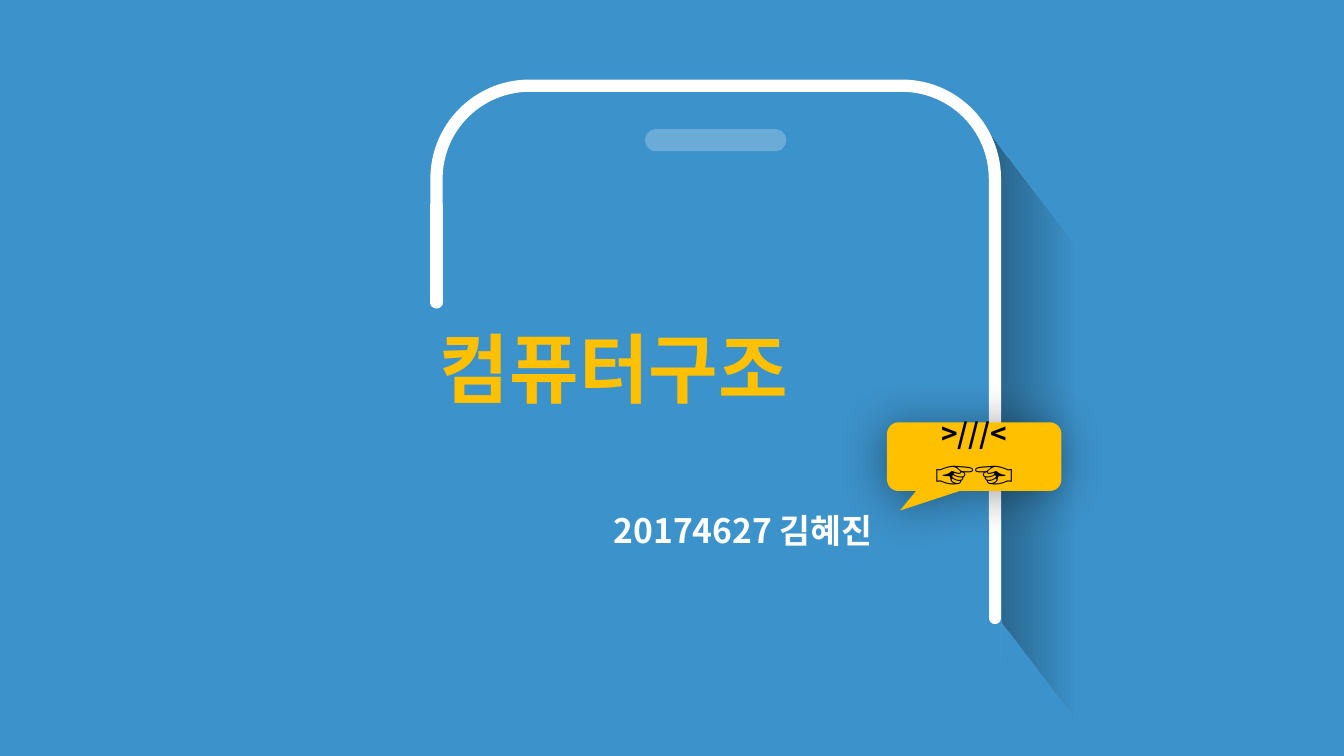
from lxml import etree
from pptx import Presentation
from pptx.dml.color import RGBColor
from pptx.enum import shapes, text
from pptx.oxml import ns
from pptx.util import Pt

BLUE = RGBColor(0x3C, 0x92, 0xCA)
PALE = RGBColor(0x6B, 0xAB, 0xD7)
GOLD = RGBColor(0xFF, 0xC0, 0x00)
WHITE = RGBColor(0xFF, 0xFF, 0xFF)
BLACK = RGBColor(0x00, 0x00, 0x00)
FONT = "Noto Sans CJK KR"
EDGE = Pt(8.75)
KIND = shapes.MSO_SHAPE


def node(up, tag, **attrs):
    """Add an XML child with the given attributes."""
    return etree.SubElement(up, ns.qn(tag), {k: str(v) for k, v in attrs.items()})


def block(page, kind, box, color, adjust=()):
    """Add a filled preset shape without outline or shadow."""
    shape = page.shapes.add_shape(kind, *map(Pt, box))
    shape.shadow.inherit = False
    shape.fill.solid()
    shape.fill.fore_color.rgb = color
    shape.line.fill.background()
    for i, value in enumerate(adjust):
        shape.adjustments[i] = value
    return shape


def shade(page):
    """Add the long shadow that fades out to the right of the phone."""
    shape = block(page, KIND.PARALLELOGRAM, (515.5, 261.4, 432.7, 72), BLACK, [1.322])
    shape.rotation = 90
    shape.fill.gradient()
    shape.fill.gradient_angle = 90
    for stop, pos, alpha in zip(shape.fill.gradient_stops, (0, 1), (40000, 0)):
        stop.position = pos
        stop.color.rgb = BLACK
    for color, alpha in zip(shape.element.spPr.iter(ns.qn("a:srgbClr")), (40000, 0)):
        node(color, "a:alpha", val=alpha)


def side(page, x, top, end):
    """Add a vertical white stroke with round ends."""
    line = page.shapes.add_connector(
        shapes.MSO_CONNECTOR.STRAIGHT, Pt(x), Pt(top), Pt(x), Pt(end))
    line.line.color.rgb = WHITE
    line.line.width = EDGE
    line.line._get_or_add_ln().set("cap", "rnd")
    node(line.element.spPr, "a:effectLst")


def glow(shape):
    """Give a shape a soft dark outer shadow."""
    effects = shape.element.spPr.find(ns.qn("a:effectLst"))
    outer = node(effects, "a:outerShdw", blurRad=Pt(34), dist=Pt(3),
                 dir=135 * 60000, algn="tr", rotWithShape=0)
    node(node(outer, "a:srgbClr", val=BLACK), "a:alpha", val=40000)


def write(frame, lines, color, align):
    """Write bold lines, each given as its words and size."""
    frame.word_wrap = True
    for i, (words, size) in enumerate(lines):
        para = frame.add_paragraph() if i else frame.paragraphs[0]
        para.text = words
        para.alignment = align
        font = para.font
        font.size, font.bold, font.name = Pt(size), True, FONT
        font.color.rgb = color
        node(para._p.pPr.find(ns.qn("a:defRPr")), "a:ea", typeface=FONT)


def label(page, box, words, size, color, align):
    """Add a text box with one line."""
    frame = page.shapes.add_textbox(*map(Pt, box)).text_frame
    write(frame, [(words, size)], color, align)


def main():
    """Build the title slide."""
    deck = Presentation()
    deck.slide_width, deck.slide_height = Pt(960), Pt(540)
    page = deck.slides.add_slide(deck.slide_layouts[6])
    page.background.fill.solid()
    page.background.fill.fore_color.rgb = BLUE

    shade(page)
    phone = block(page, KIND.ROUND_2_SAME_RECTANGLE, (311.8, 61.2, 398.9, 411.1), BLUE)
    phone.line.color.rgb = WHITE
    phone.line.width = EDGE
    block(page, KIND.RECTANGLE, (205.2, 147.6, 213.1, 357.1), BLUE)
    block(page, KIND.RECTANGLE, (350.6, 371.5, 365, 146.2), BLUE)
    side(page, 311.8, 147.6, 216)
    side(page, 710.7, 358.6, 441.4)
    block(page, KIND.ROUNDED_RECTANGLE, (460.8, 92.2, 100.8, 15.8), PALE, [0.5])

    bubble = block(page, KIND.ROUNDED_RECTANGULAR_CALLOUT,
                   (633.6, 301.7, 124.6, 49), GOLD, [-0.425, 0.785, 0.167])
    glow(bubble)
    bubble.text_frame.vertical_anchor = text.MSO_ANCHOR.MIDDLE
    write(bubble.text_frame, [(">///<", 20), ("☞☜", 28)], BLACK, text.PP_ALIGN.CENTER)

    label(page, (228.2, 226.1, 420.5, 72.7), "컴퓨터구조", 54, GOLD, text.PP_ALIGN.CENTER)
    label(page, (431.3, 360.7, 209.5, 36), "20174627 김혜진", 24, WHITE, text.PP_ALIGN.LEFT)
    deck.save("out.pptx")


if __name__ == "__main__":
    main()
